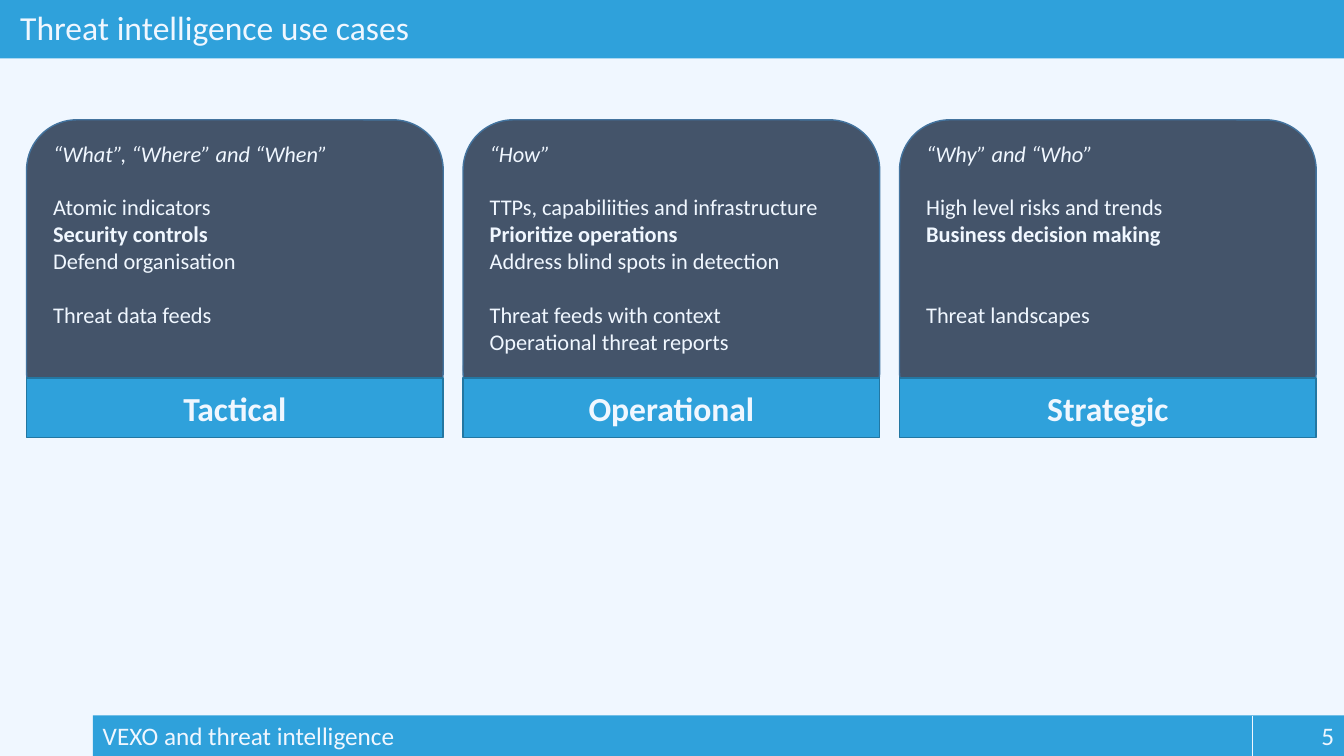
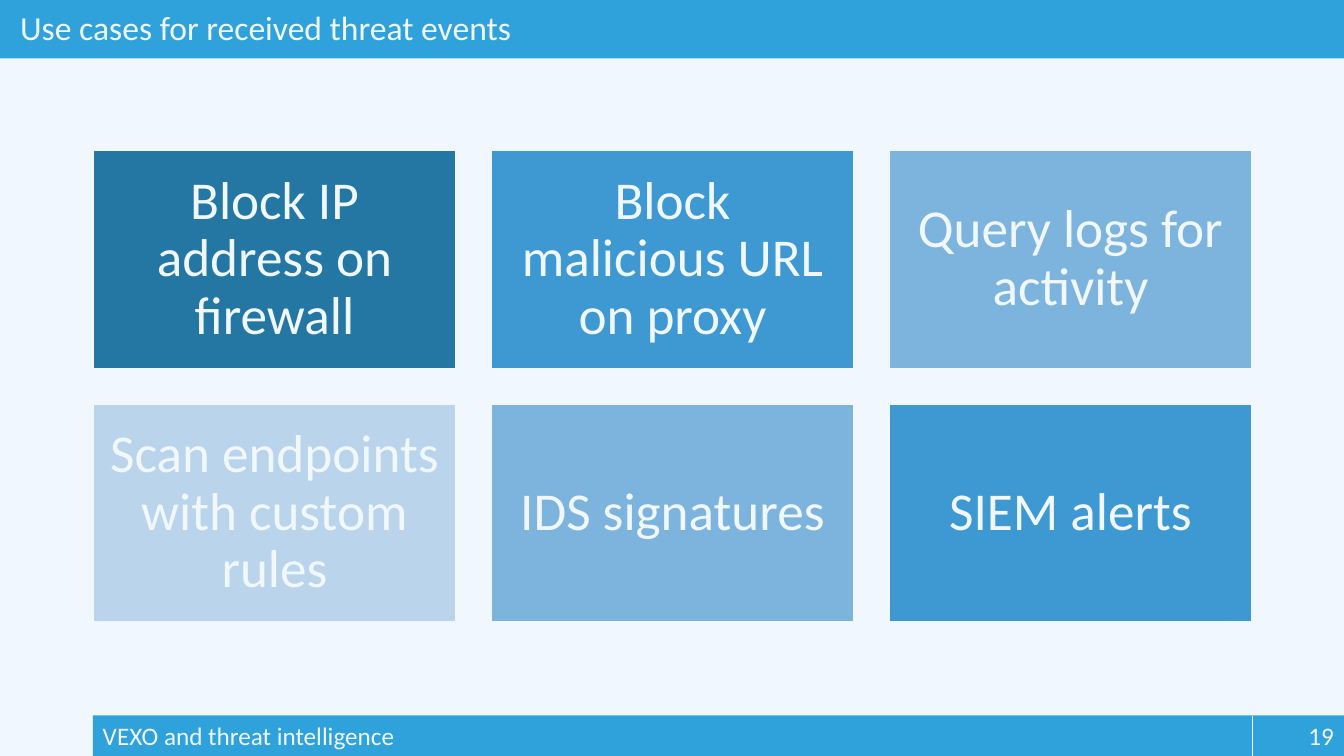
from pptx import Presentation
from pptx.dml.color import RGBColor
from pptx.enum.shapes import MSO_CONNECTOR, MSO_SHAPE
from pptx.enum.text import MSO_ANCHOR, PP_ALIGN
from pptx.oxml.ns import qn
from pptx.util import Cm, Pt
from lxml import etree

# Content
FOOTER = "VEXO and threat intelligence"

LEVELS_TITLE, LEVELS_PAGE = "Threat intelligence use cases", 5
# Each card: label, then lines of (text, style, empty lines above)
LEVELS = [
    ("Tactical", [
        ("“What”, “Where” and “When”", "italic", 0),
        ("Atomic indicators", "", 1),
        ("Security controls", "bold", 0),
        ("Defend organisation", "", 0),
        ("Threat data feeds", "", 1),
    ]),
    ("Operational", [
        ("“How”", "italic", 0),
        ("TTPs, capabiliities and infrastructure", "", 1),
        ("Prioritize operations", "bold", 0),
        ("Address blind spots in detection", "", 0),
        ("Threat feeds with context", "", 1),
        ("Operational threat reports", "", 0),
    ]),
    ("Strategic", [
        ("“Why” and “Who”", "italic", 0),
        ("High level risks and trends", "", 1),
        ("Business decision making", "bold", 0),
        ("Threat landscapes", "", 2),
    ]),
]

EVENTS_TITLE, EVENTS_PAGE = "Use cases for received threat events", 19
EVENTS = [
    ("Block IP address on firewall", "deep"),
    ("Block malicious URL on proxy", "mid"),
    ("Query logs for activity", "soft"),
    ("Scan endpoints with custom rules", "pale"),
    ("IDS signatures", "soft"),
    ("SIEM alerts", "mid"),
]

# Shared style
COLORS = {
    "paper": "F0F7FF", "band": "2FA1DB", "card": "44546A", "card_edge": "43739E",
    "deep": "2377A2", "mid": "3E99D2", "soft": "7DB4DE", "pale": "BAD4EC",
}
FONT = "Calibri"
WIDTH, HEIGHT = 33.87, 19.05
COLUMNS = 3


def rgb(name):
    return RGBColor.from_string(COLORS[name])


def add_box(s, left, top, width, height, fill, edge=None, kind=MSO_SHAPE.RECTANGLE,
            anchor=MSO_ANCHOR.MIDDLE, insets=(0.25, 0.13, 0.25, 0.13)):
    sp = s.shapes.add_shape(kind, Cm(left), Cm(top), Cm(width), Cm(height))
    sp.shadow.inherit = False
    sp.fill.solid()
    sp.fill.fore_color.rgb = rgb(fill)
    if edge:
        sp.line.color.rgb = rgb(edge)
        sp.line.width = Pt(1)
    else:
        sp.line.fill.background()
    tf = sp.text_frame
    tf.word_wrap = True
    tf.vertical_anchor = anchor
    tf.margin_left, tf.margin_top, tf.margin_right, tf.margin_bottom = map(Cm, insets)
    return tf


def write(p, text, size, align=PP_ALIGN.LEFT, style="", spacing=None):
    p.alignment = align
    if spacing:
        p.line_spacing = spacing
    r = p.add_run()
    r.text = text
    r.font.name = FONT
    r.font.size = Pt(size)
    r.font.color.rgb = rgb("paper")
    r.font.bold = style == "bold"
    r.font.italic = style == "italic"


def add_slide(prs, title, page):
    """Blank slide with title band, footer band and page number."""
    s = prs.slides.add_slide(prs.slide_layouts[6])
    tf = add_box(s, 0, 0, WIDTH, 1.47, "band", insets=(0.51, 0.13, 0.25, 0.13))
    write(tf.paragraphs[0], title, 24, spacing=0.9)

    left, split, top, height = 2.34, 31.55, 18.03, 1.02
    tf = add_box(s, left, top, split - left, height, "band", anchor=MSO_ANCHOR.TOP)
    write(tf.paragraphs[0], FOOTER, 18)
    tf = add_box(s, split, top, WIDTH - split, height, "band", anchor=MSO_ANCHOR.TOP)
    write(tf.paragraphs[0], str(page), 18, PP_ALIGN.RIGHT)

    divider = s.shapes.add_connector(
        MSO_CONNECTOR.STRAIGHT, Cm(split), Cm(top), Cm(split), Cm(HEIGHT))
    divider.line.color.rgb = rgb("paper")
    divider.line.width = Pt(0.5)
    etree.SubElement(divider._element.spPr, qn("a:effectLst"))
    return s


def build_levels(prs):
    s = add_slide(prs, LEVELS_TITLE, LEVELS_PAGE)
    left, width, pitch = 0.67, 10.5, 11
    size, line_height = 16, 19.2
    for i, (label, lines) in enumerate(LEVELS):
        x = left + i * pitch
        tf = add_box(s, x, 3.02, width, 7.6, "card", "card_edge",
                     MSO_SHAPE.ROUNDED_RECTANGLE, MSO_ANCHOR.TOP,
                     (0.3, 0.13, 0.1, 0.13))
        for n, (text, style, gap) in enumerate(lines):
            p = tf.add_paragraph() if n else tf.paragraphs[0]
            p.space_before = Pt(gap * line_height)
            write(p, text, size, style=style)
        tf = add_box(s, x, 9.53, width, 1.5, "band", "deep")
        write(tf.paragraphs[0], label, 24, PP_ALIGN.CENTER, "bold")


def build_events(prs):
    s = add_slide(prs, EVENTS_TITLE, EVENTS_PAGE)
    left, top, width, height, gap = 2.36, 3.8, 9.12, 5.48, 0.91
    for i, (text, fill) in enumerate(EVENTS):
        row, col = divmod(i, COLUMNS)
        tf = add_box(s, left + col * (width + gap), top + row * (height + gap),
                     width, height, fill, "paper", insets=(0.41,) * 4)
        write(tf.paragraphs[0], text, 38, PP_ALIGN.CENTER, spacing=0.9)


def main():
    prs = Presentation()
    prs.slide_width, prs.slide_height = Cm(WIDTH), Cm(HEIGHT)
    background = prs.slide_master.background.fill
    background.solid()
    background.fore_color.rgb = rgb("paper")
    build_levels(prs)
    build_events(prs)
    prs.save("out.pptx")


if __name__ == "__main__":
    main()
